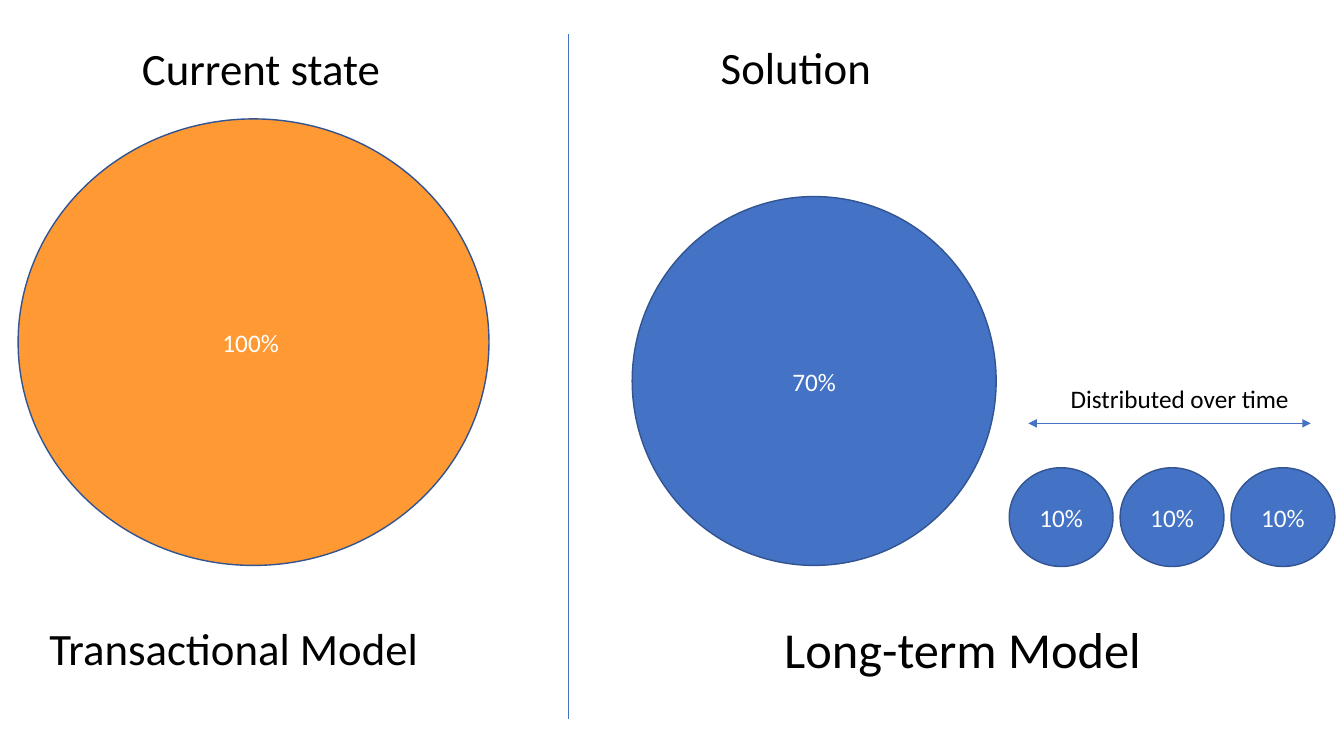
"""Build a slide comparing a transactional model with a long-term model."""
from dataclasses import dataclass

from lxml import etree
from pptx import Presentation
from pptx.dml.color import RGBColor
from pptx.enum.shapes import MSO_CONNECTOR, MSO_SHAPE
from pptx.enum.text import MSO_ANCHOR, MSO_AUTO_SIZE, PP_ALIGN
from pptx.oxml.ns import qn
from pptx.util import Inches, Pt


@dataclass(frozen=True)
class Theme:
    font: str = "Calibri"
    orange: RGBColor = RGBColor(0xFF, 0x99, 0x33)
    blue: RGBColor = RGBColor(0x44, 0x72, 0xC4)
    outline: RGBColor = RGBColor(0x32, 0x54, 0x91)
    white: RGBColor = RGBColor(0xFF, 0xFF, 0xFF)
    black: RGBColor = RGBColor(0, 0, 0)
    body: Pt = Pt(18)
    heading: Pt = Pt(32)
    emphasis: Pt = Pt(36)


theme = Theme()


def set_text(sp, text, size, color, align, anchor):
    tf = sp.text_frame
    tf.word_wrap = True
    tf.auto_size = MSO_AUTO_SIZE.NONE
    tf.vertical_anchor = anchor
    p = tf.paragraphs[0]
    p.text = text
    p.alignment = align
    p.font.name = theme.font
    p.font.size = size
    p.font.color.rgb = color


def add_line(s, x1, y1, x2, y2):
    line = s.shapes.add_connector(
        MSO_CONNECTOR.STRAIGHT, Inches(x1), Inches(y1), Inches(x2), Inches(y2))
    line.line.color.rgb = theme.blue
    line.line.width = Pt(0.5)
    etree.SubElement(line._element.spPr, qn("a:effectLst"))
    return line


prs = Presentation()
prs.slide_width = Inches(13.33)
prs.slide_height = Inches(7.5)
s = prs.slides.add_slide(prs.slide_layouts[5])

title = s.shapes.title
title.left, title.top = Inches(0.6), Inches(0.35)
title.width, title.height = Inches(3.98), Inches(0.64)
set_text(title, "Current state", theme.heading, theme.black,
         PP_ALIGN.CENTER, MSO_ANCHOR.TOP)

circles = [
    ("100% ", 0.18, 1.18, 4.67, 4.43, theme.orange),
    ("70%", 6.27, 1.95, 3.61, 3.66, theme.blue),
]
circles += [("10%", 10.01 + 1.1 * i, 4.64, 1.03, 0.98, theme.blue) for i in range(3)]
for text, x, y, w, h, fill in circles:
    sp = s.shapes.add_shape(
        MSO_SHAPE.FLOWCHART_CONNECTOR, Inches(x), Inches(y), Inches(w), Inches(h))
    sp.shadow.inherit = False
    sp.fill.solid()
    sp.fill.fore_color.rgb = fill
    sp.line.color.rgb = theme.outline
    sp.line.width = Pt(1)
    set_text(sp, text, theme.body, theme.white, PP_ALIGN.CENTER, MSO_ANCHOR.MIDDLE)

labels = [
    ("Solution", 7.05, 0.34, 2.64, 0.64, theme.heading),
    ("Transactional Model", 0.39, 6.11, 4.91, 0.64, theme.heading),
    ("Long-term Model", 7.68, 6.08, 4.14, 0.71, theme.emphasis),
    ("Distributed over time", 10.52, 3.75, 2.61, 0.4, theme.body),
]
for text, x, y, w, h, size in labels:
    box = s.shapes.add_textbox(Inches(x), Inches(y), Inches(w), Inches(h))
    set_text(box, text, size, theme.black, PP_ALIGN.LEFT, MSO_ANCHOR.TOP)

add_line(s, 5.64, 0.34, 5.64, 7.13)
time_arrow = add_line(s, 10.2, 4.2, 13, 4.2)
ln = time_arrow.line._get_or_add_ln()
for end in ("a:headEnd", "a:tailEnd"):
    etree.SubElement(ln, qn(end), type="triangle")

prs.save("out.pptx")
